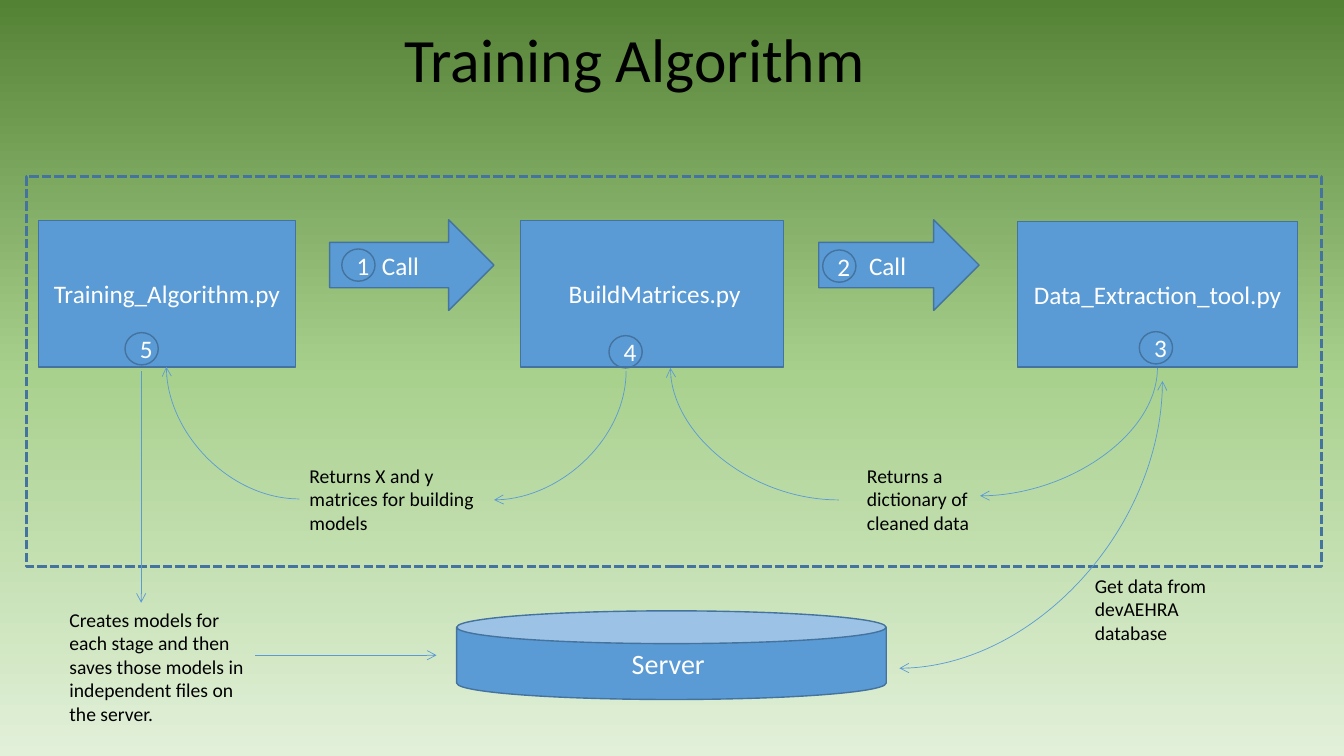
from copy import deepcopy
from pptx import Presentation
from pptx.util import Inches, Pt
from pptx.dml.color import RGBColor
from pptx.enum import dml, shapes, text
from pptx.oxml import parse_xml
from pptx.oxml.ns import nsdecls, qn

BLUE = RGBColor(0x5B, 0x9B, 0xD5)
EDGE = RGBColor(0x43, 0x73, 0x9E)
WHITE = RGBColor(255, 255, 255)
BLACK = RGBColor(0, 0, 0)
SKY = [(0, RGBColor(0x54, 0x82, 0x35)), (0.5, RGBColor(0xA9, 0xD1, 0x8E)),
       (1, RGBColor(0xE2, 0xF0, 0xD9))]
FONT = "Calibri"
KIND = shapes.MSO_SHAPE
LINK = shapes.MSO_CONNECTOR

# Content: wording, then left, top, width, height
TITLE = ("Training Algorithm", (3.91, 0.09, 5.01, 1.06))
FILES = [("Training_Algorithm.py", (0.38, 2.19, 2.55, 1.45)),
         (" BuildMatrices.py", (5.16, 2.19, 2.61, 1.45)),
         ("Data_Extraction_tool.py", (10.09, 2.2, 2.78, 1.44))]
CALLS = [(3.27, 2.18, 1.63, 0.9), (8.12, 2.18, 1.59, 0.9)]
FRAME = (0.26, 1.75, 12.85, 3.87)
SERVER = ("Server ", (4.53, 6.06, 4.26, 0.88))
STEPS = [(3.39, 2.47), (8.16, 2.48), (11.3, 3.29), (6.04, 3.33), (1.24, 3.3)]
NOTES = [("Returns a dictionary of cleaned data", (8.5, 4.55, 1.59, 0.81)),
         ("Returns X and y matrices for building models", (2.97, 4.55, 1.93, 0.81)),
         ("Creates models for each stage and then saves those models in "
          "independent files on the server.", (0.59, 5.98, 1.93, 1.28)),
         ("Get data from devAEHRA database", (10.76, 5.64, 1.59, 0.81))]
# Curves leave level and arrive upright: start, end, ends with arrows
CURVES = [((9.72, 4.92), (11.48, 3.65), ["head"]),
          ((8.32, 4.96), (6.65, 3.65), ["tail"]),
          ((4.9, 4.96), (6.21, 3.68), ["head"]),
          ((2.97, 4.95), (1.65, 3.64), ["tail"]),
          ((8.92, 6.63), (11.53, 3.78), ["head", "tail"])]
LINES = [((1.4, 3.68), (1.4, 5.98)), ((2.53, 6.5), (4.33, 6.5))]

deck = Presentation()
deck.slide_width, deck.slide_height = Inches(13.33), Inches(7.5)
slide = deck.slides.add_slide(deck.slide_layouts[6])


def write(shape, words, size, color, align=None, anchor=text.MSO_ANCHOR.MIDDLE):
    frame = shape.text_frame
    frame.word_wrap = True
    frame.vertical_anchor = anchor
    para = frame.paragraphs[0]
    para.alignment = align
    run = para.add_run()
    run.text = words
    run.font.name, run.font.size = FONT, Pt(size)
    run.font.color.rgb = color
    return para


def draw(kind, area, words="", size=18, fill=None, width=1):
    shape = slide.shapes.add_shape(kind, *map(Inches, area))
    shape.shadow.inherit = False
    if fill is None:
        shape.fill.background()
    else:
        shape.fill.solid()
        shape.fill.fore_color.rgb = fill
    shape.line.color.rgb, shape.line.width = EDGE, Pt(width)
    if words:
        write(shape, words, size, WHITE, text.PP_ALIGN.CENTER)
    return shape


def note(words, area, size=14, anchor=text.MSO_ANCHOR.TOP):
    box = slide.shapes.add_textbox(*map(Inches, area))
    return write(box, words, size, BLACK, anchor=anchor)


def link(kind, start, end, tips):
    line = slide.shapes.add_connector(kind, *map(Inches, start + end))
    line.line.color.rgb, line.line.width = BLUE, Pt(0.5)
    props = line._element.spPr
    if kind == LINK.CURVE:
        props.find(qn("a:prstGeom")).set("prst", "curvedConnector2")
    for tip in tips:
        props.find(qn("a:ln")).append(
            parse_xml(f'<a:{tip}End {nsdecls("a")} type="arrow"/>'))
    props.append(parse_xml(f'<a:effectLst {nsdecls("a")}/>'))


# Background gradient, top to bottom
sky = slide.background.fill
sky.gradient()
sky.gradient_angle = 270
first = sky.gradient_stops[0]._gs
first.addnext(deepcopy(first))
for stop, (place, color) in zip(sky.gradient_stops, SKY):
    stop.position, stop.color.rgb = place, color

# Scripts and the calls between them
for name, area in FILES:
    draw(KIND.RECTANGLE, area, name, fill=BLUE)
for area in CALLS:
    draw(KIND.RIGHT_ARROW, area, "Call", fill=BLUE)

# Dashed frame and server
frame = draw(KIND.RECTANGLE, FRAME, width=2.25)
frame.line.dash_style = dml.MSO_LINE.SQUARE_DOT
server = draw(KIND.CAN, SERVER[1], SERVER[0], 20, BLUE)
server.adjustments[0] = 0.37

# Links
for start, end, tips in CURVES:
    link(LINK.CURVE, start, end, tips)
for start, end in LINES:
    link(LINK.STRAIGHT, start, end, ["tail"])

# Title, notes and step numbers
note(*TITLE, 44, text.MSO_ANCHOR.MIDDLE).line_spacing = 0.9
for words, area in NOTES:
    note(words, area)
for step, spot in enumerate(STEPS, 1):
    draw(KIND.OVAL, spot + (0.33, 0.32), str(step))

deck.save("out.pptx")
